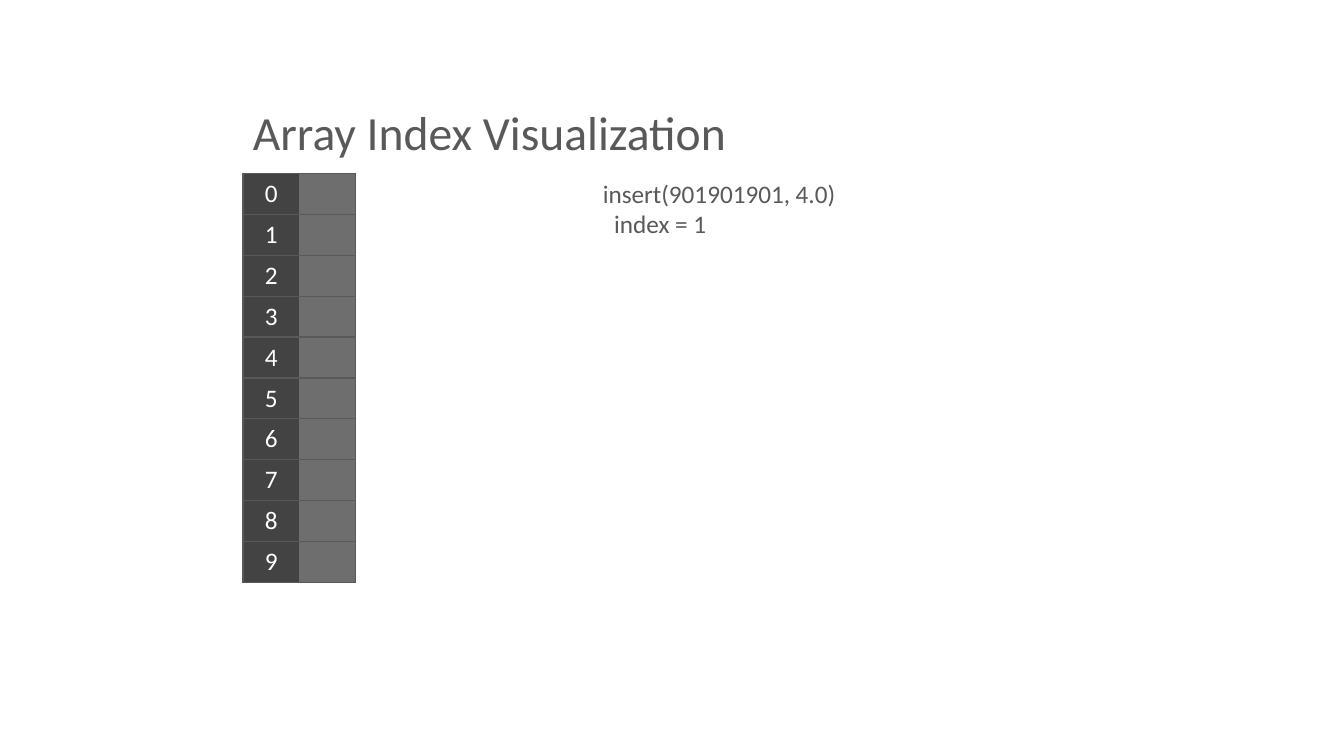
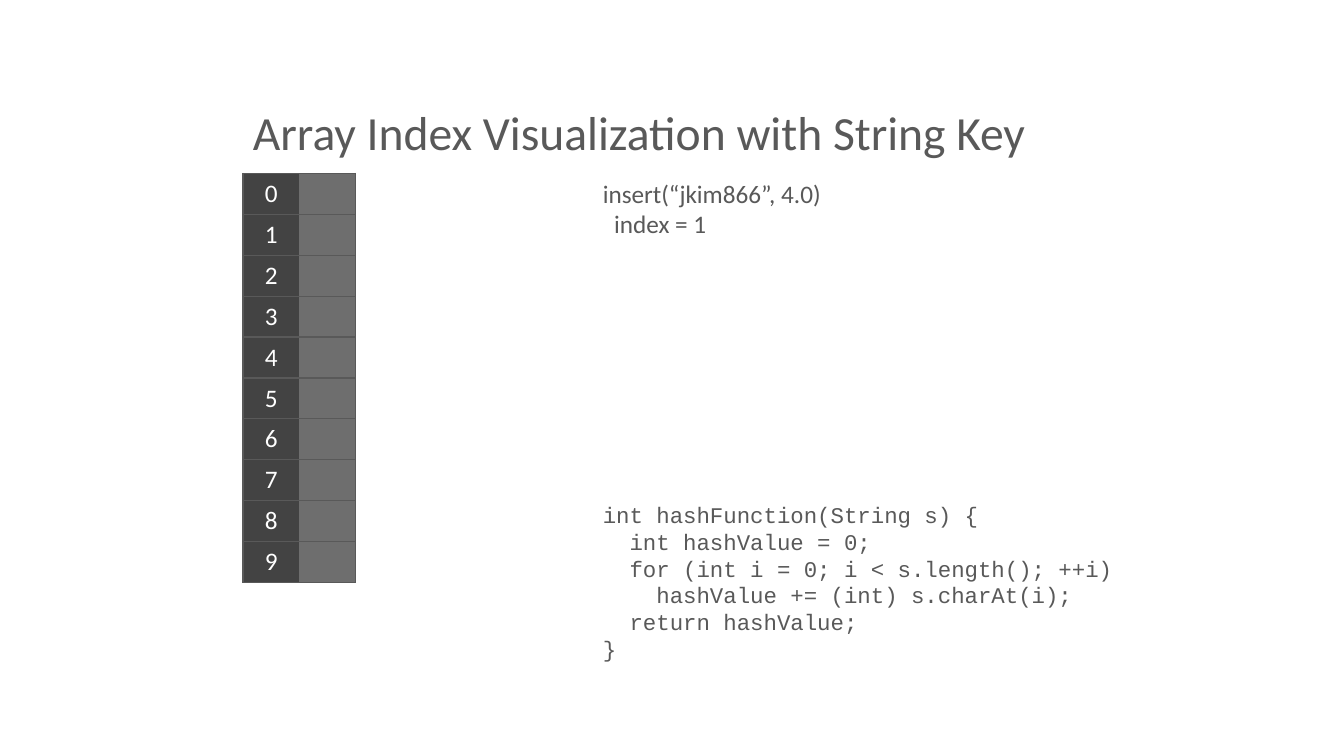
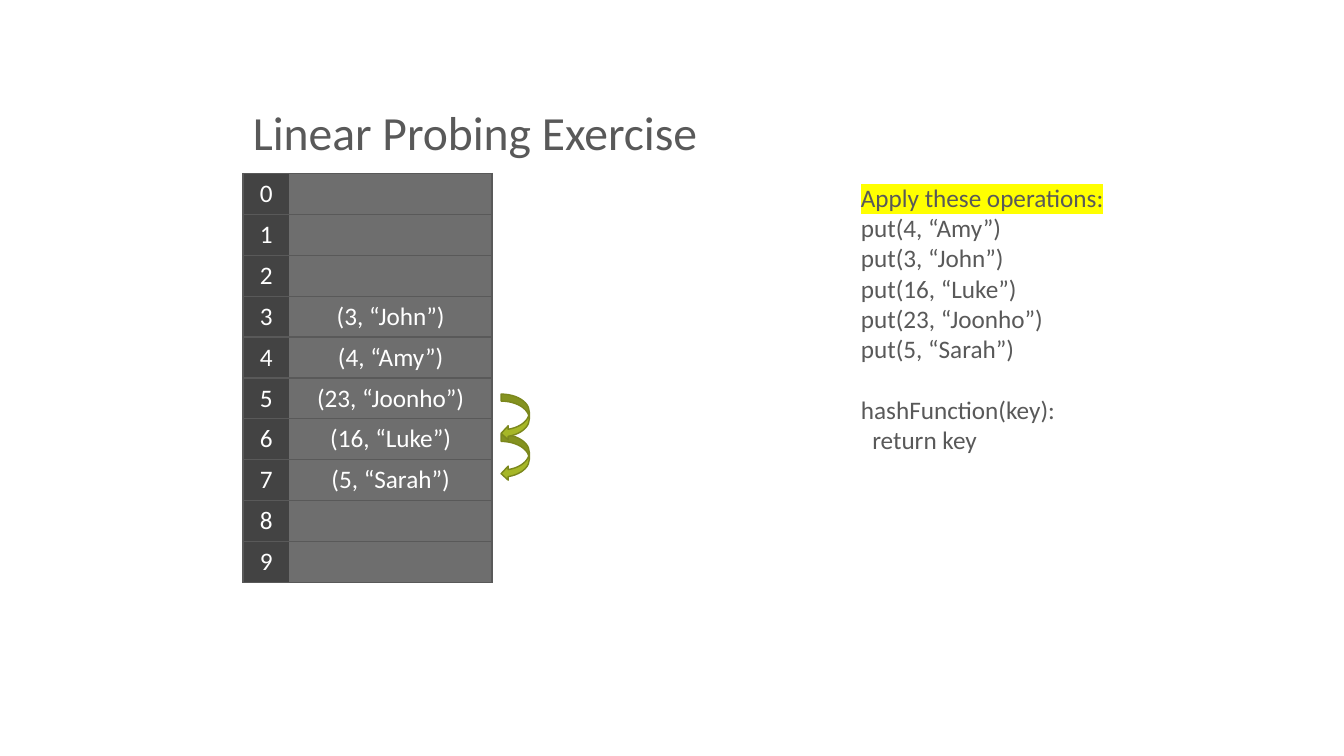
from lxml.etree import SubElement
from pptx import Presentation
from pptx.dml.color import RGBColor
from pptx.enum.shapes import MSO_SHAPE
from pptx.enum.text import MSO_ANCHOR, PP_ALIGN
from pptx.oxml import parse_xml
from pptx.oxml.ns import nsdecls, qn
from pptx.util import Inches, Pt

INK, DARK, GRAY, WHITE = "595959", "434343", "6E6E6E", "FFFFFF"
LIME, OLIVE, YELLOW = "A6B727", "7B871D", "FFFF00"
SANS, MONO = "Calibri", "Courier New"
LEFT, TOP = 2.41, 1.72
SLOTS = 10
PLAIN = "{2D5ABB26-0587-4C30-8999-92F81FD0307C}"  # table style with no grid


def rgb(code):
    return RGBColor.from_string(code)


class Deck:
    def __init__(self):
        self.file = Presentation()
        self.file.slide_width = Inches(13.33)
        self.file.slide_height = Inches(7.5)

    def page(self, title):
        """Start a slide with its title."""
        self.slide = self.file.slides.add_slide(self.file.slide_layouts[6])
        frame = self.text([title], LEFT, 0.33, 10.25, 1.31, size=34)
        frame.vertical_anchor = MSO_ANCHOR.BOTTOM
        frame.paragraphs[0].line_spacing = 0.9

    def run(self, para, text, size=18, face=SANS, color=INK):
        run = para.add_run()
        run.text = text
        run.font.size = Pt(size)
        run.font.color.rgb = rgb(color)
        run.font.name = face
        return run

    def text(self, lines, x, y, wide, high, size=18, face=SANS):
        box = self.slide.shapes.add_textbox(
            Inches(x), Inches(y), Inches(wide), Inches(high))
        frame = box.text_frame
        frame.word_wrap = True
        for i, line in enumerate(lines):
            para = frame.add_paragraph() if i else frame.paragraphs[0]
            self.run(para, line, size, face)
        return frame

    def mark(self, para, color):
        """Highlight the first run of a paragraph."""
        fill = para.runs[0].font._element.find(qn("a:solidFill"))
        fill.addnext(parse_xml(
            f'<a:highlight {nsdecls("a")}><a:srgbClr val="{color}"/></a:highlight>'))

    def edge(self, cell, sides):
        """Draw cell borders; sides come in the order L, R, T, B."""
        props = cell._tc.get_or_add_tcPr()
        for side in sides:
            line = SubElement(props, qn(f"a:ln{side}"), w=str(Pt(1)))
            fill = SubElement(line, qn("a:solidFill"))
            SubElement(fill, qn("a:srgbClr"), val=INK)

    def slots(self, wides, items):
        """Draw the array: an index column and a column of stored items."""
        table = self.slide.shapes.add_table(
            SLOTS, 2, Inches(LEFT), Inches(TOP),
            Inches(sum(wides)), Inches(4.06)).table
        table.first_row = table.horz_banding = False
        table._tbl.tblPr.find(qn("a:tableStyleId")).text = PLAIN
        for col, wide in zip(table.columns, wides):
            col.width = Inches(wide)
        for i in range(SLOTS):
            pairs = (str(i), DARK, "LTB"), (items.get(i, ""), GRAY, "RTB")
            for j, (text, color, sides) in enumerate(pairs):
                cell = table.cell(i, j)
                self.edge(cell, sides)
                cell.fill.solid()
                cell.fill.fore_color.rgb = rgb(color)
                para = cell.text_frame.paragraphs[0]
                para.alignment = PP_ALIGN.CENTER
                if text:
                    self.run(para, text, color=WHITE)

    def hop(self, x, y):
        """Draw a curved arrow from one slot to the next."""
        arrow = self.slide.shapes.add_shape(
            MSO_SHAPE.CURVED_DOWN_ARROW,
            Inches(x), Inches(y), Inches(0.46), Inches(0.28))
        arrow.rotation = 90
        arrow.shadow.inherit = False
        arrow.fill.solid()
        arrow.fill.fore_color.rgb = rgb(LIME)
        arrow.line.color.rgb = rgb(OLIVE)
        arrow.line.width = Pt(1)


def main():
    deck = Deck()
    inserts = (
        ("Array Index Visualization", "insert(901901901, 4.0)"),
        ("Array Index Visualization with String Key", "insert(“jkim866”, 4.0)"),
    )
    for title, call in inserts:
        deck.page(title)
        deck.slots((0.56, 0.56), {})
        deck.text([call, "  index = 1"], 5.88, TOP, 2.79, 0.71)
    code = [
        "int hashFunction(String s) {",
        "  int hashValue = 0;",
        "  for (int i = 0; i < s.length(); ++i)",
        "    hashValue += (int) s.charAt(i);",
        "  return hashValue;",
        "}",
    ]
    deck.text(code, 5.88, 4.92, 5.78, 1.72, size=16, face=MONO)

    deck.page("Linear Probing Exercise")
    deck.slots((0.46, 2.01), {
        3: "(3, “John”)", 4: "(4, “Amy”)", 5: "(23, “Joonho”)",
        6: "(16, “Luke”)", 7: "(5, “Sarah”)"})
    tasks = deck.text([
        "Apply these operations:",
        "put(4, “Amy”)", "put(3, “John”)", "put(16, “Luke”)",
        "put(23, “Joonho”)", "put(5, “Sarah”)",
        "hashFunction(key):", "  return key",
    ], 8.44, 1.76, 2.91, 2.83).paragraphs
    deck.mark(tasks[0], YELLOW)
    tasks[6].space_before = Pt(22)
    for y in (4.4, 4):
        deck.hop(4.88, y)
    deck.file.save("out.pptx")


if __name__ == "__main__":
    main()
